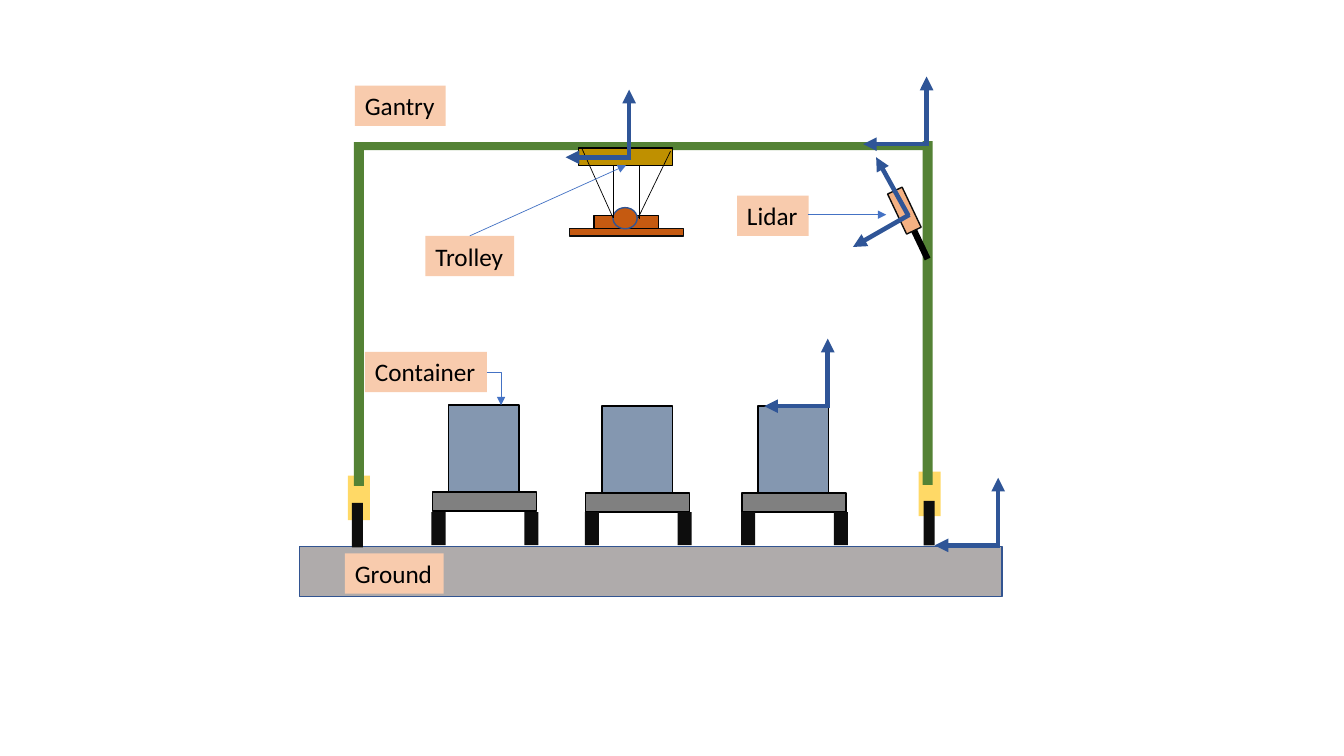
from dataclasses import dataclass
from typing import Optional

import pptx
import pptx.dml.color
import pptx.enum.shapes
import pptx.enum.text
import pptx.oxml
import pptx.oxml.ns
import pptx.util
from lxml import etree

SHAPE = pptx.enum.shapes.MSO_SHAPE
CONNECTOR = pptx.enum.shapes.MSO_CONNECTOR
EMU_PER_PX = 9144  # 100 px to the inch


@dataclass(frozen=True)
class Theme:
    font: str = "Calibri"
    label_size: float = 18
    text: str = "000000"
    label: str = "F8CBAD"
    ground: str = "AFABAB"
    ground_edge: str = "325491"
    foot: str = "FFD966"
    black: str = "0D0D0D"
    edge: str = "000000"
    gantry: str = "548235"
    trolley: str = "BF9000"
    spreader: str = "C55A11"
    container: str = "8497B0"
    bed: str = "808080"
    lidar: str = "F4B183"
    axis: str = "2F5597"
    pointer: str = "4472C4"
    outline_width: float = 1
    thin_width: float = 0.5
    axis_width: float = 3.25
    mount_width: float = 4.5


THEME = Theme()


@dataclass(frozen=True)
class Part:
    left: int
    top: int
    width: int
    height: int
    fill: str
    edge: Optional[str] = None
    kind: SHAPE = SHAPE.RECTANGLE
    rotation: float = 0


@dataclass(frozen=True)
class Line:
    x1: int
    y1: int
    x2: int
    y2: int
    color: str
    width: float
    arrow: bool = False
    elbow: bool = False


@dataclass(frozen=True)
class Label:
    text: str
    left: int
    top: int
    width: int
    height: int = 40


@dataclass(frozen=True)
class Point:
    x: int
    y: int


STRUCTURE = [
    Part(297, 542, 697, 50, THEME.ground, THEME.ground_edge),
    Part(345, 472, 22, 44, THEME.foot),
    Part(349, 499, 11, 44, THEME.black),
    Part(911, 468, 22, 44, THEME.foot),
    Part(916, 497, 11, 44, THEME.black),
    Part(351, 141, 10, 341, THEME.gantry),
    Part(354, 141, 570, 8, THEME.gantry),
    Part(915, 140, 10, 341, THEME.gantry),
    Part(574, 147, 93, 17, THEME.trolley, THEME.edge),
    Part(565, 227, 113, 7, THEME.spreader, THEME.black),
    Part(589, 214, 64, 13, THEME.spreader, THEME.edge),
    Part(608, 206, 24, 21, THEME.spreader, THEME.ground_edge, SHAPE.OVAL),
]
ROPES = [
    Line(x1, y1, x2, y2, THEME.edge, THEME.thin_width)
    for x1, y1, x2, y2 in [
        (608, 216, 608, 164),
        (634, 217, 634, 165),
        (608, 216, 577, 147),
        (633, 216, 665, 150),
    ]
]
CONTAINERS = [Point(445, 402), Point(597, 403), Point(752, 403)]
FRAME_ORIGINS = [Point(919, 143), Point(624, 156), Point(990, 541), Point(821, 403)]
LIDAR_MOUNT = Line(902, 219, 920, 257, THEME.edge, THEME.mount_width)
LIDAR = Part(889, 187, 16, 44, THEME.lidar, THEME.black, rotation=334.6)
LIDAR_AXES = [
    Line(902, 213, 846, 245, THEME.axis, THEME.axis_width, arrow=True),
    Line(901, 214, 869, 156, THEME.axis, THEME.axis_width, arrow=True),
]
LABELS = [
    Label("Gantry", 352, 85, 90),
    Label("Container", 362, 349, 121),
    Label("Trolley", 422, 234, 88),
    Label("Lidar", 731, 194, 71),
    Label("Ground", 342, 549, 98),
]
POINTERS = [
    Line(466, 234, 621, 164, THEME.pointer, THEME.thin_width, arrow=True),
    Line(801, 213, 879, 213, THEME.pointer, THEME.thin_width, arrow=True),
    Line(483, 369, 497, 402, THEME.pointer, THEME.thin_width, arrow=True, elbow=True),
]


def px(length: int) -> pptx.util.Emu:
    return pptx.util.Emu(length * EMU_PER_PX)


def rgb(color: str) -> pptx.dml.color.RGBColor:
    return pptx.dml.color.RGBColor.from_string(color)


def draw_part(page, part: Part) -> None:
    box = page.shapes.add_shape(
        part.kind, px(part.left), px(part.top), px(part.width), px(part.height)
    )
    box.shadow.inherit = False
    box.rotation = part.rotation
    box.fill.solid()
    box.fill.fore_color.rgb = rgb(part.fill)
    if part.edge:
        box.line.color.rgb = rgb(part.edge)
        box.line.width = pptx.util.Pt(THEME.outline_width)
    else:
        box.line.fill.background()


def draw_line(page, line: Line) -> None:
    kind = CONNECTOR.ELBOW if line.elbow else CONNECTOR.STRAIGHT
    connector = page.shapes.add_connector(
        kind, px(line.x1), px(line.y1), px(line.x2), px(line.y2)
    )
    connector.line.color.rgb = rgb(line.color)
    connector.line.width = pptx.util.Pt(line.width)
    properties = connector._element.spPr
    qn = pptx.oxml.ns.qn
    if line.elbow:
        properties.find(qn("a:prstGeom")).set("prst", "bentConnector2")
    if line.arrow:
        outline = properties.find(qn("a:ln"))
        etree.SubElement(outline, qn("a:tailEnd"), type="triangle")
    etree.SubElement(properties, qn("a:effectLst"))


def draw_truck(page, container: Point) -> None:
    """Draw a container, the bed under it and two wheels."""
    x, y = container.x, container.y
    draw_part(page, Part(x, y, 70, 87, THEME.container, THEME.edge))
    draw_part(page, Part(x - 16, y + 86, 103, 19, THEME.bed, THEME.edge))
    for wheel_left in (x - 17, x + 75):
        draw_part(page, Part(wheel_left, 508, 14, 33, THEME.black))


def draw_frame(page, origin: Point) -> None:
    """Draw a coordinate frame with one axis to the left and one upwards."""
    x, y = origin.x, origin.y
    for x1, x2, y2 in [(x + 2, x - 63, y), (x, x, y - 67)]:
        draw_line(page, Line(x1, y, x2, y2, THEME.axis, THEME.axis_width, arrow=True))


def write_text(frame, text: str, *, size: float, color: str, font: str) -> None:
    span = frame.paragraphs[0].add_run()
    span.text = text
    span.font.size = pptx.util.Pt(size)
    span.font.name = font
    span.font.color.rgb = rgb(color)


def draw_label(page, label: Label) -> None:
    box = page.shapes.add_textbox(
        px(label.left), px(label.top), px(label.width), px(label.height)
    )
    box.fill.solid()
    box.fill.fore_color.rgb = rgb(THEME.label)
    box.text_frame.word_wrap = False
    box.text_frame.auto_size = pptx.enum.text.MSO_AUTO_SIZE.SHAPE_TO_FIT_TEXT
    write_text(box.text_frame, label.text, size=THEME.label_size,
               color=THEME.text, font=THEME.font)


def main() -> None:
    deck = pptx.Presentation()
    deck.slide_width, deck.slide_height = px(1333), px(750)
    page = deck.slides.add_slide(deck.slide_layouts.get_by_name("Blank"))
    for part in STRUCTURE:
        draw_part(page, part)
    for rope in ROPES:
        draw_line(page, rope)
    for container in CONTAINERS:
        draw_truck(page, container)
    for origin in FRAME_ORIGINS:
        draw_frame(page, origin)
    draw_line(page, LIDAR_MOUNT)
    draw_part(page, LIDAR)
    for label in LABELS:
        draw_label(page, label)
    for line in LIDAR_AXES + POINTERS:
        draw_line(page, line)
    deck.save("out.pptx")


if __name__ == "__main__":
    main()
